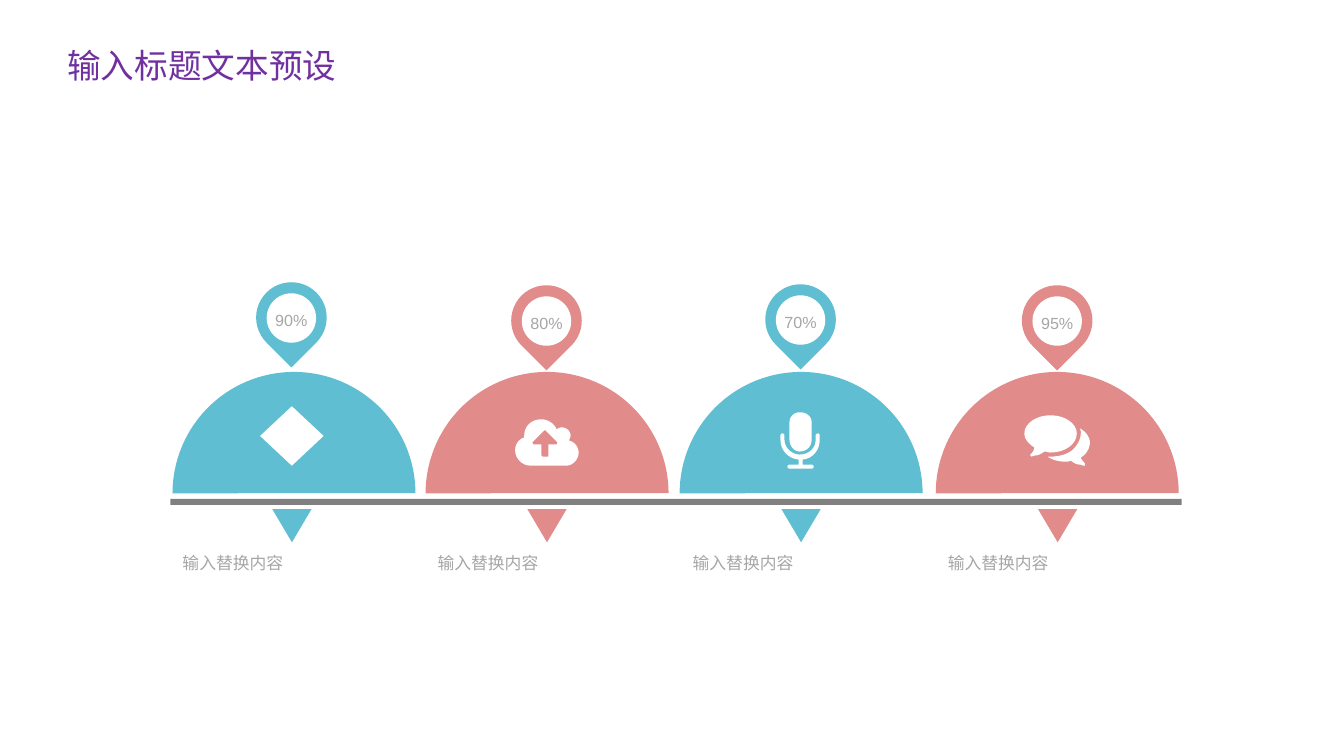
"""Build a slide with four domed milestones, each topped by a percentage pin."""
from pptx import Presentation
from pptx.dml.color import RGBColor
from pptx.enum.shapes import MSO_SHAPE
from pptx.enum.text import MSO_ANCHOR, MSO_AUTO_SIZE, PP_ALIGN
from pptx.oxml.ns import qn
from pptx.util import Inches, Pt

CHORD, BAR, TRIANGLE = MSO_SHAPE.CHORD, MSO_SHAPE.RECTANGLE, MSO_SHAPE.ISOSCELES_TRIANGLE
TEAR, OVAL, DIAMOND = MSO_SHAPE.TEAR, MSO_SHAPE.OVAL, MSO_SHAPE.DIAMOND
LEFT, CENTER = PP_ALIGN.LEFT, PP_ALIGN.CENTER
MIDDLE, GROW = MSO_ANCHOR.MIDDLE, MSO_AUTO_SIZE.SHAPE_TO_FIT_TEXT

THEME = {
    "teal": "5FBED1", "coral": "E18B8B", "gray": "808080", "white": "FFFFFF",
    "muted": "A6A6A6", "purple": "7030A0",
    "title": 24, "label": 12, "percent": 11.5,
    "latin": "Arial", "asian": "Noto Sans CJK SC",
}
CELL = Inches(0.1)
CURVE_STEPS = 8
FINE = 100


def grid(*cells):
    """Turn grid cells into lengths."""
    return [round(cell * CELL) for cell in cells]


def write(box, text, size, color, font=THEME["latin"], align=LEFT, spacing=None, before=None):
    """Write one formatted paragraph into a box."""
    frame = box.text_frame
    frame.word_wrap = True
    para = frame.paragraphs[0]
    para.alignment, para.line_spacing, para.space_before = align, spacing, before
    span = para.add_run()
    span.text = text
    span.font.name, span.font.size = font, Pt(THEME[size])
    span.font.color.rgb = RGBColor.from_string(THEME[color])
    asian = span.font._element.makeelement(qn("a:ea"), {"typeface": THEME["asian"]})
    span.font._element.find(qn("a:latin")).addnext(asian)


CLOUD = [
    [(51, 46), (15, 46), (7, 46, 0, 39, 0, 31), (0, 25, 3, 20, 9, 18), (9, 16),
     (9, 7, 16, 0, 26, 0), (32, 0, 39, 4, 41, 10), (42, 9, 45, 8, 46, 8),
     (51, 8, 55, 12, 55, 16), (55, 18, 54, 20, 53, 21), (59, 22, 63, 28, 63, 33),
     (63, 40, 57, 46, 51, 46)],
    [(42, 23), (30, 11), (29, 11), (17, 23), (18, 25), (26, 25), (26, 36), (27, 37),
     (33, 37), (33, 25), (41, 25)],
]
MICROPHONE = [
    [(39, 27), (39, 38, 32, 46, 22, 47), (22, 52), (31, 52), (32, 52, 33, 53, 33, 54),
     (33, 55, 32, 56, 31, 56), (9, 56), (8, 56, 7, 55, 7, 54), (7, 53, 8, 52, 9, 52),
     (18, 52), (18, 47), (8, 46, 0, 38, 0, 27), (0, 23), (0, 22, 1, 21, 2, 21),
     (3, 21, 4, 22, 4, 23), (4, 27), (4, 36, 12, 42, 19, 42), (28, 42, 35, 36, 35, 27),
     (35, 23), (35, 22, 36, 21, 38, 21), (38, 21, 39, 22, 39, 23)],
    [(31, 27), (31, 34, 26, 39, 19, 39), (14, 39, 9, 34, 9, 27), (9, 10),
     (9, 4, 14, 0, 19, 0), (26, 0, 31, 4, 31, 10)],
]
SPEECH = [
    [(26, 37), (24, 37, 22, 36, 20, 36), (17, 38, 14, 40, 10, 40), (7, 41), (6, 40),
     (6, 39), (8, 37, 9, 36, 10, 32), (5, 29, 0, 24, 0, 18), (0, 8, 12, 0, 26, 0),
     (40, 0, 52, 8, 52, 18), (52, 29, 40, 37, 26, 37)],
    [(56, 42), (57, 45, 59, 46, 60, 48), (60, 50), (59, 50, 57, 50, 56, 49),
     (52, 49, 50, 48, 46, 45), (44, 46, 43, 46, 40, 46), (34, 46, 27, 44, 23, 41),
     (26, 41), (34, 41, 42, 39, 47, 35), (52, 31, 56, 24, 56, 18),
     (56, 16, 56, 15, 55, 13), (61, 16, 65, 22, 65, 27), (65, 33, 61, 39, 56, 42)],
]
MILESTONES = [
    ("90%", "teal", 17.1, 25.4, 28.0),
    ("80%", "coral", 42.2, 50.7, 28.3),
    ("70%", "teal", 67.4, 75.9, 28.2),
    ("95%", "coral", 92.8, 101.35, 28.3),
]
ICONS = [(CLOUD, 51.1, 41.6), (MICROPHONE, 77.4, 40.9), (SPEECH, 101.6, 41.2)]

deck = Presentation()
deck.slide_width, deck.slide_height = grid(133.3, 75)
page = deck.slides.add_slide(deck.slide_layouts[6])
painted = [(page.shapes.add_shape(BAR, *grid(16.9, 49.5, 100.3, 0.6)), "gray")]

for column, (percent, color, hill_left, pin_left, pin_top) in enumerate(MILESTONES):
    hill = page.shapes.add_shape(CHORD, *grid(hill_left, 36.9, 24.1, 24.1))
    hill.rotation = 112.4
    hill.adjustments[0], hill.adjustments[1] = 40.583, 148.461
    pointer = page.shapes.add_shape(TRIANGLE, *grid(pin_left + 1.6, 50.5, 3.9, 3.3))
    pointer.rotation = 180

    pin = page.shapes.add_group_shape()
    drop = pin.shapes.add_shape(TEAR, *grid(pin_left, pin_top, 7, 7))
    drop.rotation = 135
    disc = pin.shapes.add_shape(OVAL, *grid(pin_left + 1.05, pin_top + 1.1, 4.9, 4.9))
    write(disc, percent, "percent", "muted", align=CENTER, spacing=1.2)
    painted += [(hill, color), (pointer, color), (drop, color), (disc, "white")]

    label = page.shapes.add_textbox(*grid(18.1 + 25.3 * column, 54.4, 21.8, 2.2))
    write(label, "输入替换内容", "label", "muted", spacing=1.2, before=Pt(2.4))
    label.text_frame.auto_size = GROW
    for box in (disc, label):
        frame = box.text_frame
        frame.margin_left = frame.margin_right = frame.margin_top = frame.margin_bottom = 0
    disc.text_frame.vertical_anchor = MIDDLE

painted.append((page.shapes.add_shape(DIAMOND, *grid(25.8, 40.3, 6.3, 5.9)), "white"))
for contours, left, top in ICONS:
    outline = page.shapes.build_freeform(
        contours[0][0][0] * FINE, contours[0][0][1] * FINE, scale=CELL / 10 / FINE)
    for index, contour in enumerate(contours):
        x, y = contour[0]
        if index:
            outline.move_to(x * FINE, y * FINE)
        points = []
        for step in contour[1:]:
            if len(step) == 6:
                ax, ay, bx, by, end_x, end_y = step
                for tick in range(1, CURVE_STEPS):
                    t = tick / CURVE_STEPS
                    u = 1 - t
                    weights = u ** 3, 3 * u * u * t, 3 * u * t * t, t ** 3
                    points.append(tuple(
                        FINE * sum(w * v for w, v in zip(weights, values))
                        for values in ((x, ax, bx, end_x), (y, ay, by, end_y))))
            x, y = step[-2:]
            points.append((x * FINE, y * FINE))
        outline.add_line_segments(points, close=True)
    painted.append((outline.convert_to_shape(*grid(left, top)), "white"))

for shape, color in painted:
    shape.shadow.inherit = False
    shape.fill.solid()
    shape.fill.fore_color.rgb = RGBColor.from_string(THEME[color])
    shape.line.fill.background()

title = page.shapes.add_textbox(*grid(5.7, 4, 33.6, 5))
write(title, "输入标题文本预设", "title", "purple", font=THEME["asian"])
title.text_frame.auto_size = GROW

deck.save("out.pptx")
